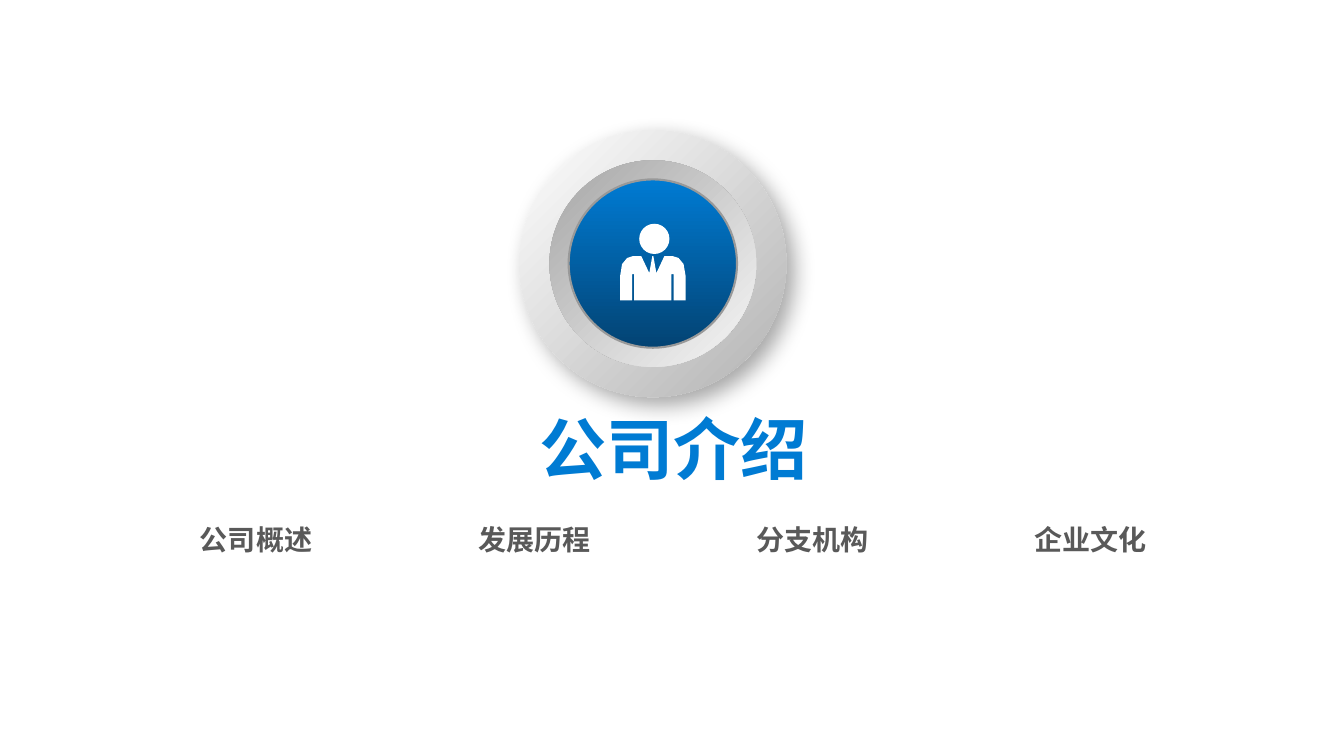
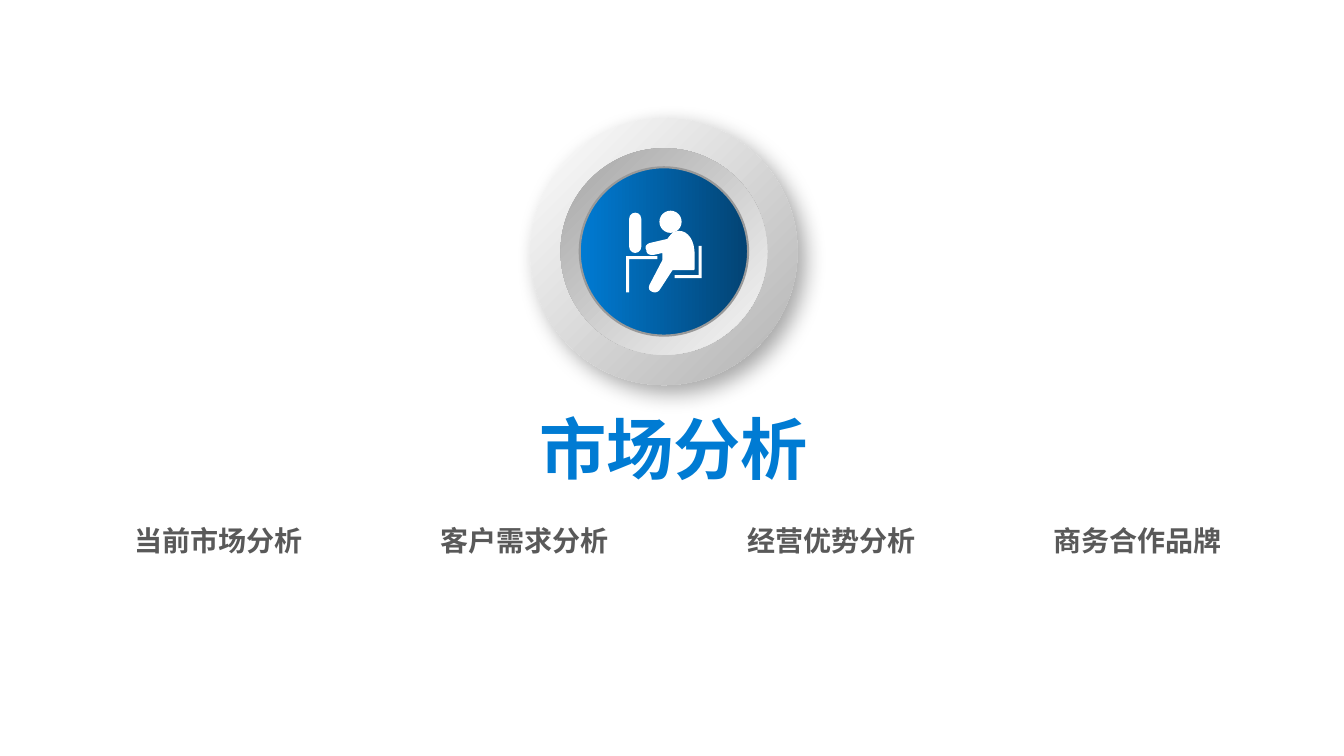
from lxml import etree
from pptx import Presentation
from pptx.dml.color import RGBColor
from pptx.enum.shapes import MSO_SHAPE
from pptx.enum.text import MSO_AUTO_SIZE, PP_ALIGN
from pptx.oxml.ns import qn
from pptx.util import Inches, Pt

OVAL = MSO_SHAPE.OVAL
ROUNDED = MSO_SHAPE.ROUNDED_RECTANGLE
FIT_SHAPE = MSO_AUTO_SIZE.SHAPE_TO_FIT_TEXT
LEFT = PP_ALIGN.LEFT
CENTER = PP_ALIGN.CENTER

FONT = "Noto Sans CJK SC"
WHITE = RGBColor(0xFF, 0xFF, 0xFF)
BLUE = RGBColor(0x00, 0x7B, 0xD3)
NAVY = RGBColor(0x03, 0x43, 0x73)
SILVER = RGBColor(0xB2, 0xB2, 0xB2)
GRAY = RGBColor(0xA6, 0xA6, 0xA6)
PALE = RGBColor(0xF7, 0xF7, 0xF7)
RIM = RGBColor(0x99, 0x99, 0x99)
TEXT = RGBColor(0x59, 0x59, 0x59)

BUTTON_SIZE = 2.65
CURVE_STEPS = 8

# Outlines are in inches from the button's corner: two numbers give a corner,
# six give the two handles and the end of a curve.
COAT_HALF = [(1.32, 1.25), (1.29, 1.42), (1.21, 1.25), (1.13, 1.25), (1.07, 1.27),
             (1.02, 1.33), (1.0, 1.45), (1.0, 1.69), (1.12, 1.69), (1.12, 1.43),
             (1.14, 1.43), (1.14, 1.69)]
COAT = COAT_HALF + [(BUTTON_SIZE - x, y) for x, y in reversed(COAT_HALF)]
DESK = [(0.95, 1.37), (1.26, 1.37), (1.26, 1.4), (0.98, 1.4), (0.98, 1.73), (0.95, 1.73)]
CHAIR = [(1.43, 1.56), (1.67, 1.56), (1.67, 1.27), (1.7, 1.27), (1.7, 1.59), (1.43, 1.59)]
WORKER = [(1.19, 1.64), (1.17, 1.67, 1.17, 1.71, 1.2, 1.72),
          (1.23, 1.74, 1.26, 1.73, 1.28, 1.71), (1.41, 1.51), (1.62, 1.51),
          (1.63, 1.5), (1.63, 1.36), (1.63, 1.22, 1.57, 1.12, 1.47, 1.12),
          (1.42, 1.13), (1.4, 1.15, 1.38, 1.17, 1.36, 1.2), (1.19, 1.24),
          (1.15, 1.25, 1.13, 1.28, 1.15, 1.31),
          (1.15, 1.35, 1.18, 1.36, 1.22, 1.36), (1.31, 1.34), (1.31, 1.41)]


def fill_gradient(shape, first, last, angle):
    """Fill with two colours; the angle runs clockwise."""
    shape.fill.gradient()
    shape.fill.gradient_angle = 360 - angle
    for stop, color in zip(shape.fill.gradient_stops, (first, last)):
        stop.color.rgb = color


def add_soft_shadow(shape):
    effects = shape._element.spPr.find(qn("a:effectLst"))
    shadow = etree.SubElement(effects, qn("a:outerShdw"), blurRad=str(Pt(16)),
                              dist=str(Pt(8)), dir=str(45 * 60000),
                              algn="tl", rotWithShape="0")
    color = etree.SubElement(shadow, qn("a:srgbClr"), val="000000")
    etree.SubElement(color, qn("a:alpha"), val="35000")


def add_plain(shapes, kind, left, top, width, height):
    """Add a white shape without line or shadow."""
    shape = shapes.add_shape(kind, Inches(left), Inches(top), Inches(width), Inches(height))
    return make_plain(shape)


def make_plain(shape):
    shape.shadow.inherit = False
    shape.fill.solid()
    shape.fill.fore_color.rgb = WHITE
    shape.line.fill.background()
    return shape


def trace(outline):
    """Turn corners and curves into a list of points."""
    points = []
    for step in outline:
        if len(step) == 2:
            points.append(step)
            continue
        nodes = [points[-1], step[:2], step[2:4], step[4:]]
        for index in range(1, CURVE_STEPS + 1):
            t = index / CURVE_STEPS
            weights = ((1 - t) ** 3, 3 * t * (1 - t) ** 2, 3 * t * t * (1 - t), t ** 3)
            points.append(tuple(sum(weight * node[axis] for weight, node in zip(weights, nodes))
                                for axis in (0, 1)))
    return points


def add_outline(shapes, left, top, outline):
    points = [(Inches(left + x), Inches(top + y)) for x, y in trace(outline)]
    builder = shapes.build_freeform(*points[0])
    builder.add_line_segments(points[1:], close=True)
    make_plain(builder.convert_to_shape())


def add_person_icon(shapes, left, top):
    add_plain(shapes, OVAL, left + 1.19, top + 0.93, 0.3, 0.3)
    add_outline(shapes, left, top, COAT)


def add_desk_icon(shapes, left, top):
    monitor = add_plain(shapes, ROUNDED, left + 0.98, top + 0.94, 0.12, 0.4)
    monitor.adjustments[0] = 0.5
    add_plain(shapes, OVAL, left + 1.28, top + 0.92, 0.22, 0.22)
    for outline in (DESK, WORKER, CHAIR):
        add_outline(shapes, left, top, outline)


def add_button(page, left, top, angle, add_icon):
    """Add the round button; the angle is that of its blue face."""
    shapes = page.shapes.add_group_shape().shapes
    layers = []
    for inset, first, last, turn in ((0, WHITE, SILVER, 45), (0.3, GRAY, PALE, 45),
                                     (0.49, BLUE, NAVY, angle)):
        size = BUTTON_SIZE - 2 * inset
        disc = add_plain(shapes, OVAL, left + inset, top + inset, size, size)
        fill_gradient(disc, first, last, turn)
        layers.append(disc)
    add_soft_shadow(layers[0])
    face = layers[-1]
    face.line.color.rgb = RIM
    face.line.width = Pt(1.5)
    add_icon(shapes, left, top)


def add_text(page, text, left, top, width, height, size, color, align=CENTER, wrap=True):
    box = page.shapes.add_textbox(Inches(left), Inches(top), Inches(width), Inches(height))
    frame = box.text_frame
    frame.text = text
    frame.word_wrap = wrap
    frame.auto_size = FIT_SHAPE
    para = frame.paragraphs[0]
    para.alignment = align
    span = para.runs[0]
    span.font.name = FONT
    span.font.size = Pt(size)
    span.font.bold = True
    span.font.color.rgb = color
    properties = span._r.get_or_add_rPr()
    etree.SubElement(properties, qn("a:ea"), typeface=FONT)


def add_topics(page, topics, left, top, width, step):
    for index, topic in enumerate(topics):
        add_text(page, topic, left + index * step, top, width, 0.46, 20, TEXT)


def add_section(deck, title, topics, topic_row, button):
    page = deck.slides.add_slide(deck.slide_layouts[6])
    add_button(page, *button)
    add_text(page, title, 5.25, 3.99, 2.87, 0.96, 48, BLUE, LEFT, False)
    add_topics(page, topics, *topic_row)


def main():
    deck = Presentation()
    deck.slide_width = Inches(13.33)
    deck.slide_height = Inches(7.5)
    add_section(deck, "公司介绍", ["公司概述", "发展历程", "分支机构", "企业文化"],
                (1.62, 5.13, 1.84, 2.76), (5.15, 1.29, 90, add_person_icon))
    add_section(deck, "市场分析",
                ["当前市场分析", "客户需求分析", "经营优势分析", "商务合作品牌"],
                (1.07, 5.14, 2.19, 3.04), (5.26, 1.17, 0, add_desk_icon))
    deck.save("out.pptx")


if __name__ == "__main__":
    main()
